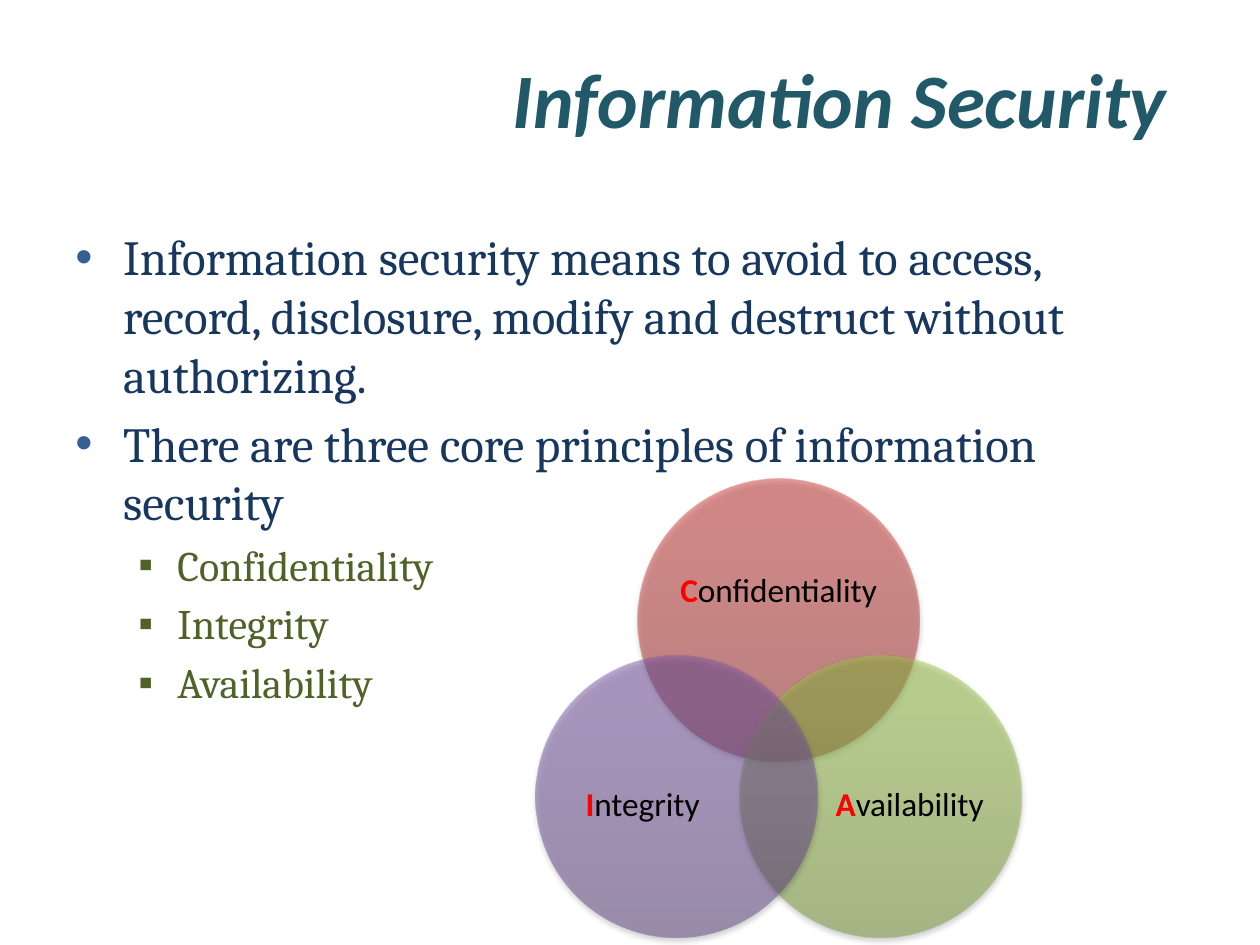
from dataclasses import dataclass
from math import cos, radians, sin

from lxml import etree
from pptx import Presentation
from pptx import util as u
from pptx.dml.color import RGBColor
from pptx.enum import shapes, text
from pptx.oxml import parse_xml
from pptx.oxml.ns import nsdecls, qn

COLORS = {
    "title": "215968", "body": "17375E", "bullet": "376092", "principle": "4F6228",
    "initial": "FF0000", "label": "000000", "shadow": "000000",
}
VENN_CENTER = (6.18, 5.855)
VENN_RADIUS = 0.935
DIAMETER = 2.24


@dataclass(frozen=True)
class Level:
    size: int
    color: str
    bullet: str
    bullet_color: str
    margin: float
    hanging: float


@dataclass(frozen=True)
class Principle:
    initial: str
    rest: str
    angle: int
    gradient: tuple[str, str, str]
    label_box: tuple[float, float, float, float]


MAIN = Level(28, "body", "•", "bullet", 0.38, 0.38)
SUB = Level(24, "principle", "▪", "principle", 0.81, 0.31)

BODY = [
    (MAIN, "Information security means to avoid to access, record, disclosure, "
           "modify and destruct without authorizing."),
    (MAIN, "There are three core principles of information security"),
    (SUB, "Confidentiality"),
    (SUB, "Integrity"),
    (SUB, "Availability"),
]

PRINCIPLES = [
    Principle("C", "onfidentiality", -90, ("9C2F2D", "CB3E3A", "CE3B37"), (5.36, 4.19, 1.64, 1.01)),
    Principle("A", "vailability", 30, ("779737", "9BC348", "9DC746"), (6.55, 5.78, 1.34, 1.23)),
    Principle("I", "ntegrity ", 150, ("5F4480", "7B58A6", "7C57A8"), (4.46, 5.78, 1.34, 1.23)),
]


def add_span(para, words: str, color: str, **formats) -> None:
    span = para.add_run()
    span.text = words
    for name, value in formats.items():
        setattr(span.font, name, value)
    span.font.color.rgb = RGBColor.from_string(COLORS[color])


def add_bullet(para, level: Level) -> None:
    properties = para._p.get_or_add_pPr()
    properties.set("marL", str(u.Inches(level.margin)))
    properties.set("indent", str(-u.Inches(level.hanging)))
    color = etree.SubElement(properties, qn("a:buClr"))
    etree.SubElement(color, qn("a:srgbClr"), val=COLORS[level.bullet_color])
    etree.SubElement(properties, qn("a:buFont"), typeface="Arial")
    etree.SubElement(properties, qn("a:buChar"), char=level.bullet)


def add_title(page) -> None:
    title = page.shapes.title
    place = dict(left=0.5, top=0.3, width=9, height=0.95)
    for name, value in place.items():
        setattr(title, name, u.Inches(value))
    title.text_frame.vertical_anchor = text.MSO_ANCHOR.MIDDLE
    para = title.text_frame.paragraphs[0]
    para.alignment = text.PP_ALIGN.RIGHT
    add_span(para, "Information Security ", "title",
             name="Calibri", size=u.Pt(44), bold=True, italic=True)


def add_body(page) -> None:
    box = page.shapes.add_textbox(*map(u.Inches, (0.5, 1.75, 9, 4.95)))
    frame = box.text_frame
    frame.word_wrap = True
    for index, (level, words) in enumerate(BODY):
        para = frame.add_paragraph() if index else frame.paragraphs[0]
        if index:
            para.space_before = u.Pt(level.size * 0.2)
        add_bullet(para, level)
        add_span(para, words, level.color, name="Cambria", size=u.Pt(level.size))


def add_circle(group, principle: Principle) -> None:
    angle = radians(principle.angle)
    left = VENN_CENTER[0] + VENN_RADIUS * cos(angle) - DIAMETER / 2
    top = VENN_CENTER[1] + VENN_RADIUS * sin(angle) - DIAMETER / 2
    circle = group.shapes.add_shape(
        shapes.MSO_SHAPE.OVAL, *map(u.Inches, (left, top, DIAMETER, DIAMETER)))
    circle.line.fill.background()

    # Translucent gradient running upwards, with a soft shadow below
    stops = "".join(
        f'<a:gs pos="{position}000"><a:srgbClr val="{color}"><a:alpha val="50000"/></a:srgbClr></a:gs>'
        for position, color in zip((0, 80, 100), principle.gradient))
    gradient = parse_xml(
        f'<a:gradFill {nsdecls("a")} rotWithShape="1"><a:gsLst>{stops}</a:gsLst>'
        '<a:lin ang="16200000" scaled="0"/></a:gradFill>')
    shadow = parse_xml(
        f'<a:effectLst {nsdecls("a")}><a:outerShdw blurRad="{u.Pt(3.1)}" dist="{u.Pt(1.8)}" '
        f'dir="5400000" rotWithShape="0"><a:srgbClr val="{COLORS["shadow"]}">'
        '<a:alpha val="35000"/></a:srgbClr></a:outerShdw></a:effectLst>')
    outline = circle._element.spPr.find(qn("a:ln"))
    outline.addprevious(gradient)
    outline.addnext(shadow)


def add_label(group, principle: Principle) -> None:
    box = group.shapes.add_textbox(*map(u.Inches, principle.label_box))
    frame = box.text_frame
    formats = dict(word_wrap=True, vertical_anchor=text.MSO_ANCHOR.MIDDLE,
                   margin_left=0, margin_right=0, margin_top=0, margin_bottom=0)
    for name, value in formats.items():
        setattr(frame, name, value)
    para = frame.paragraphs[0]
    para.alignment = text.PP_ALIGN.CENTER
    para.line_spacing = 0.9
    add_span(para, principle.initial, "initial", name="Calibri", size=u.Pt(19), bold=True)
    add_span(para, principle.rest, "label", name="Calibri", size=u.Pt(19), bold=False)


def main() -> None:
    deck = Presentation()
    deck.slide_width, deck.slide_height = u.Inches(10), u.Inches(7.5)
    page = deck.slides.add_slide(deck.slide_layouts[5])

    # Title and bulleted text
    add_title(page)
    add_body(page)

    # Venn diagram of the three principles
    venn = page.shapes.add_group_shape()
    for principle in PRINCIPLES:
        add_circle(venn, principle)
        add_label(venn, principle)

    deck.save("out.pptx")


if __name__ == "__main__":
    main()
